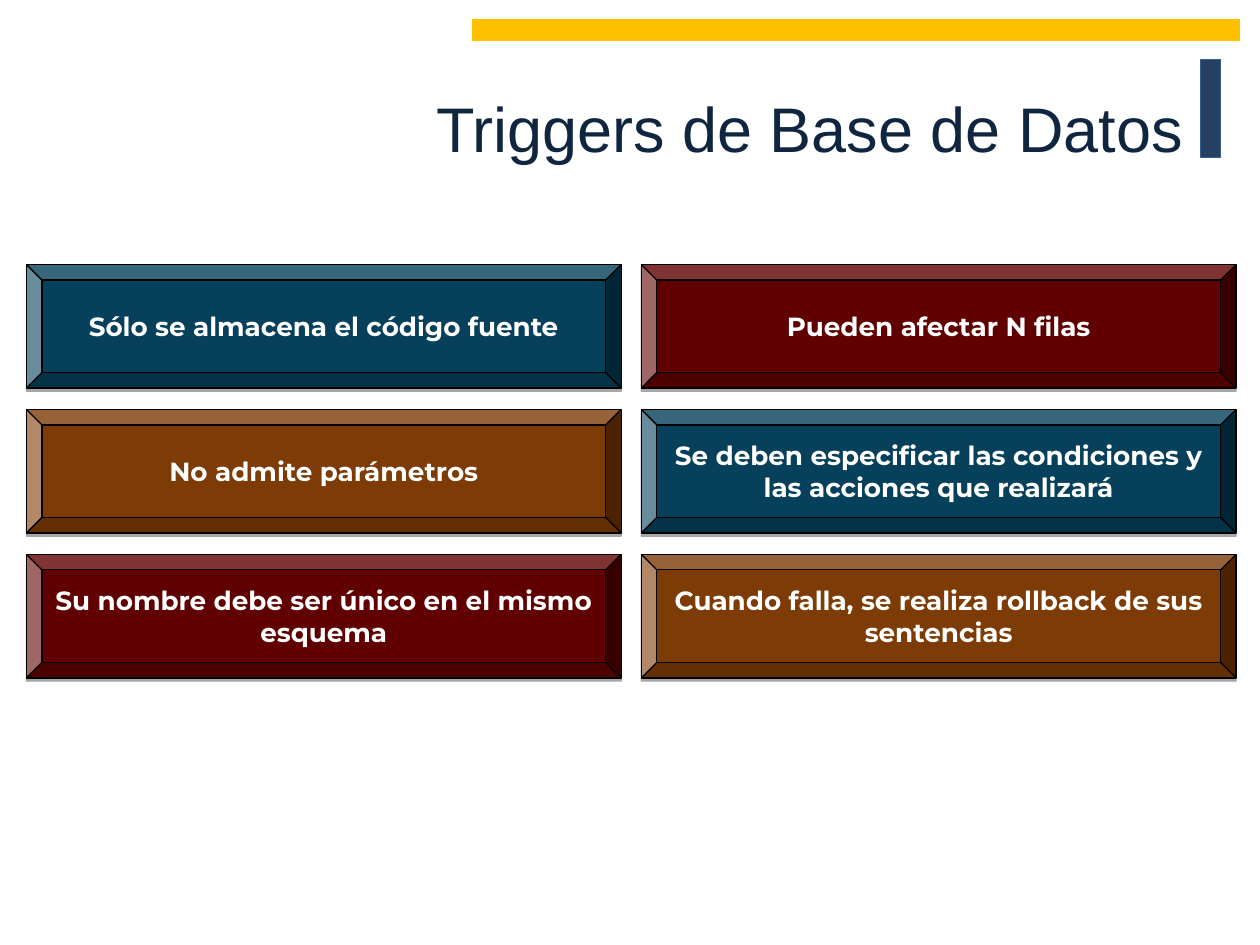
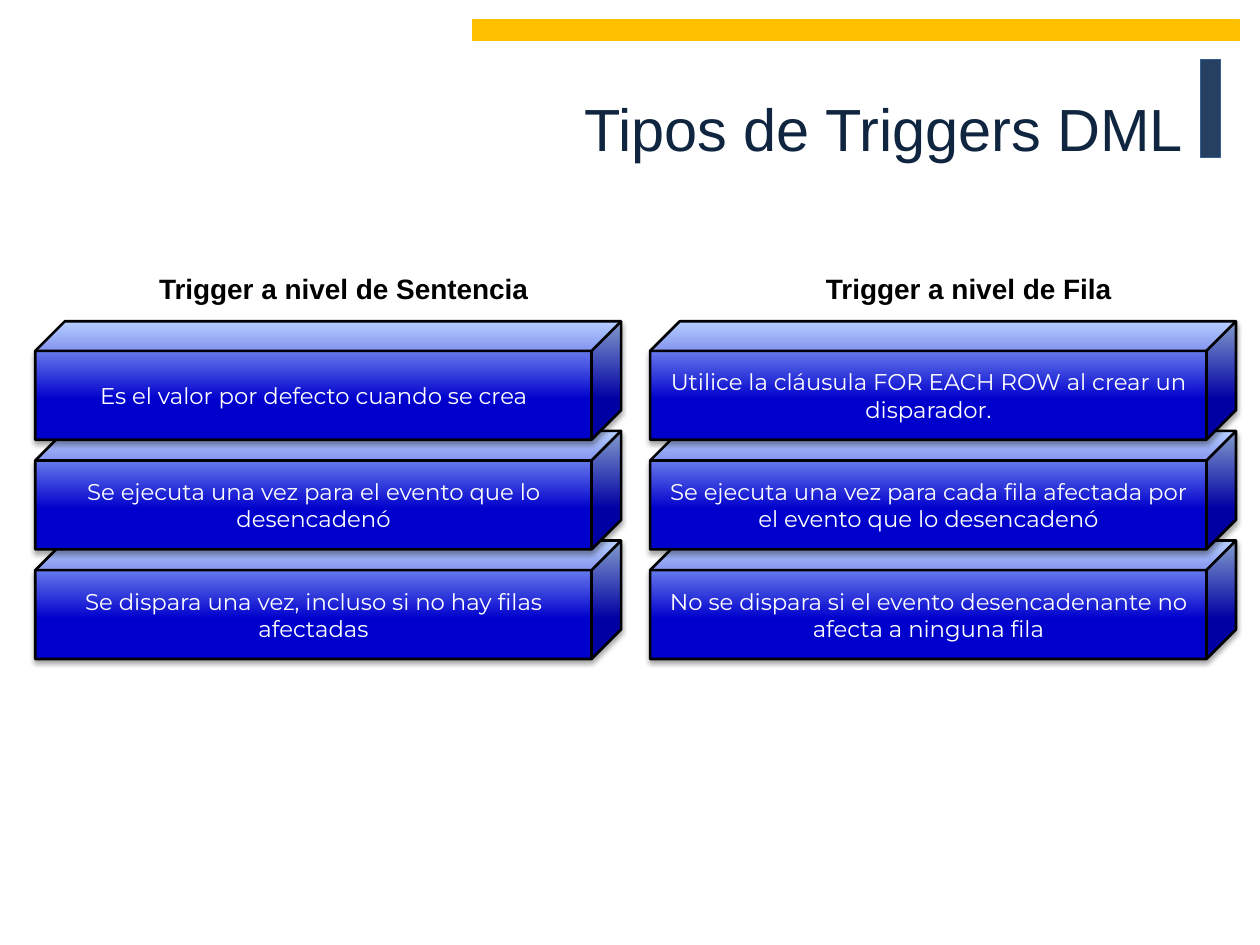
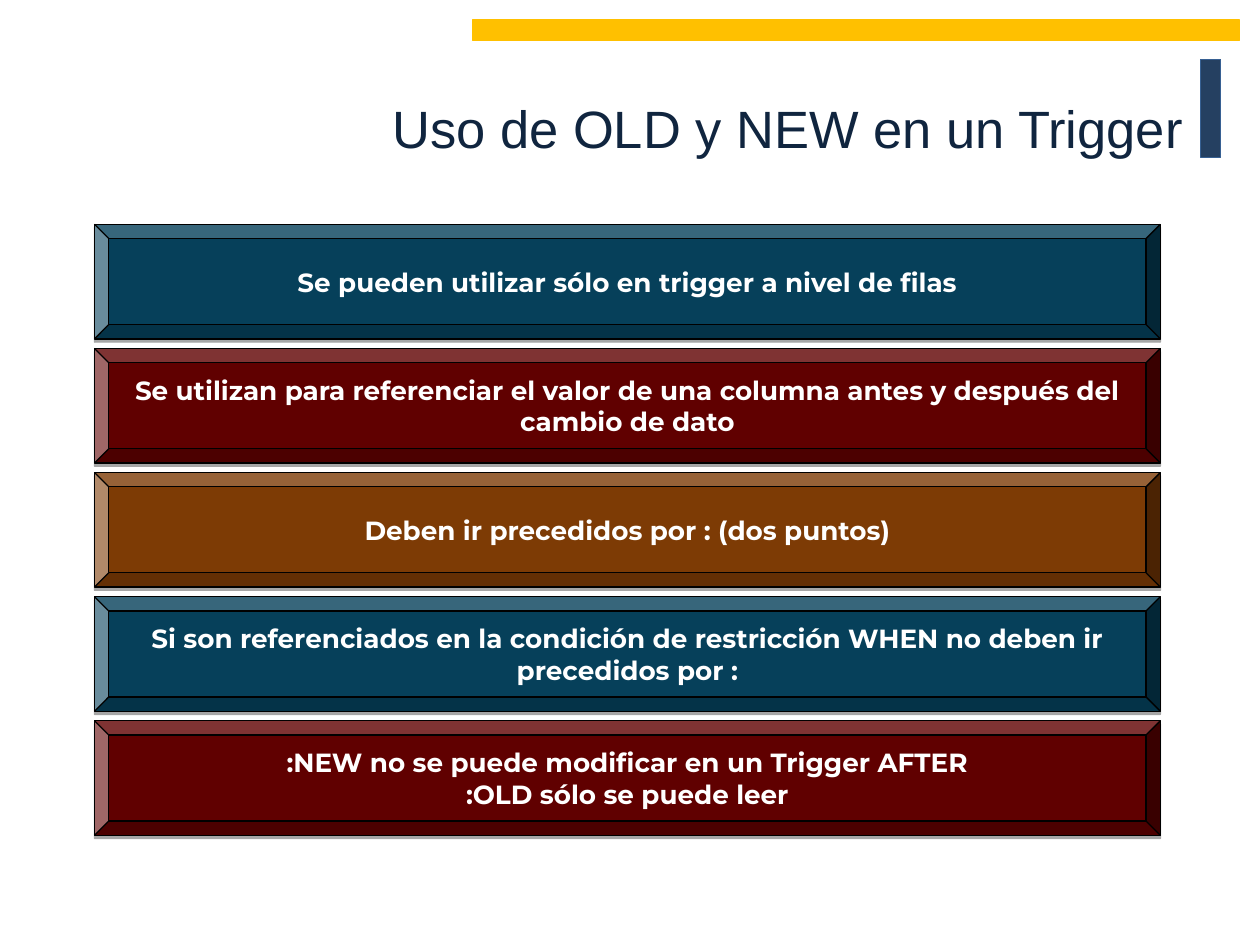
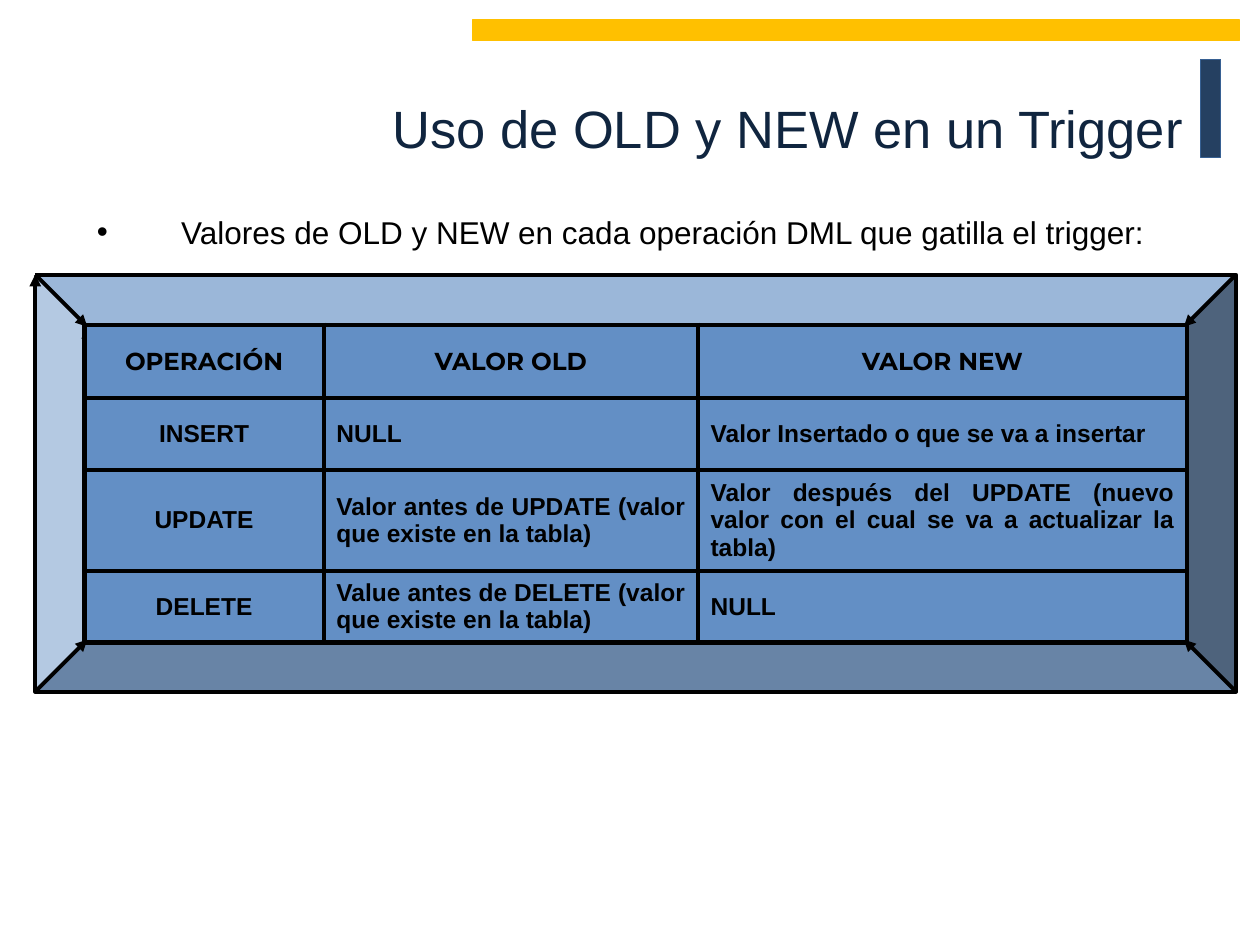
from lxml.etree import SubElement
from pptx import Presentation
from pptx.dml.color import RGBColor
from pptx.enum.shapes import MSO_SHAPE
from pptx.enum.text import MSO_ANCHOR, MSO_AUTO_SIZE, PP_ALIGN
from pptx.oxml.ns import qn
from pptx.util import Emu, Inches, Pt

WIDTH, HEIGHT = Inches(10), Inches(7.5)
COLUMNS, ROWS = 100, 75

BLACK, WHITE = "000000", "FFFFFF"
NAVY, NAVY_EDGE, TITLE_NAVY, GOLD = "254061", "376092", "10253F", "FFC000"
TEAL, BROWN, MAROON = "06405A", "7D3B05", "600000"
CUBE_BLUE, CUBE_LIGHT = "0000CC", "A4C4FF"
FRAME_BLUE, CELL_BLUE = "82A5D0", "638FC5"
SANS, DISPLAY = "Arial", "Montserrat"


def color(code):
    return RGBColor.from_string(code)


def add_xml(parent, tag, **attributes):
    return SubElement(parent, qn(tag), {name: str(value) for name, value in attributes.items()})


def add_xml_color(parent, code):
    return add_xml(parent, "a:srgbClr", val=code)


class Deck:
    """Holds the shared style and the slide being built; lengths are grid columns and rows."""

    def __init__(self):
        self.presentation = Presentation()
        self.presentation.slide_width = WIDTH
        self.presentation.slide_height = HEIGHT
        self.layout = self.presentation.slide_layouts.get_by_name("Title Only")
        self.slide = None

    def across(self, columns):
        return Emu(round(WIDTH * columns / COLUMNS))

    def down(self, rows):
        return Emu(round(HEIGHT * rows / ROWS))

    def box(self, left, top, width, height):
        return self.across(left), self.down(top), self.across(width), self.down(height)

    def add_slide(self, title, size):
        self.slide = self.presentation.slides.add_slide(self.layout)
        self.shape(MSO_SHAPE.RECTANGLE, (95.3, 4.7, 1.6, 7.8), NAVY, NAVY_EDGE)
        self.shape(MSO_SHAPE.RECTANGLE, (37.5, 1.6, 60.9, 1.6), GOLD, GOLD)
        placeholder = self.slide.shapes.title
        placeholder.left, placeholder.top, placeholder.width, placeholder.height = self.box(
            9.7, 2.1, 85.2, 16)
        frame = placeholder.text_frame
        frame.auto_size = MSO_AUTO_SIZE.NONE
        self.add_text(frame, [title], size, SANS, TITLE_NAVY, align=PP_ALIGN.RIGHT)

    def add_text(self, frame, lines, size, font, ink, bold=False, align=PP_ALIGN.CENTER,
                 anchor=MSO_ANCHOR.MIDDLE):
        frame.word_wrap = True
        frame.vertical_anchor = anchor
        for number, line in enumerate(lines):
            paragraph = frame.add_paragraph() if number else frame.paragraphs[0]
            paragraph.alignment = align
            run = paragraph.add_run()
            run.text = line
            run.font.size, run.font.name, run.font.bold = Pt(size), font, bold
            run.font.color.rgb = color(ink)

    def shape(self, kind, place, fill, line, line_width=0.75):
        shape = self.slide.shapes.add_shape(kind, *self.box(*place))
        shape.shadow.inherit = False
        if fill:
            shape.fill.solid()
            shape.fill.fore_color.rgb = color(fill)
        shape.line.color.rgb = color(line)
        shape.line.width = Pt(line_width)
        return shape

    def drop_shadow(self, shape, blur):
        effects = shape.element.spPr.find(qn("a:effectLst"))
        shadow = add_xml(effects, "a:outerShdw", blurRad=Pt(blur), dist=Pt(1.8),
                         dir=90 * 60000, rotWithShape=0)
        add_xml(add_xml_color(shadow, BLACK), "a:alpha", val=35000)

    def bevel(self, place, fill, *lines):
        shape = self.shape(MSO_SHAPE.BEVEL, place, fill, BLACK)
        self.drop_shadow(shape, 0)
        self.add_text(shape.text_frame, lines, 15, DISPLAY, WHITE, bold=True)

    def cube(self, place, text):
        shape = self.shape(MSO_SHAPE.CUBE, place, None, BLACK, 1.5)
        shape.fill.gradient()
        shape.fill.gradient_angle = 90
        stops = ((0.34, CUBE_BLUE), (1, CUBE_LIGHT))
        for stop, (position, code) in zip(shape.fill.gradient_stops, stops):
            stop.position = position
            stop.color.rgb = color(code)
        self.drop_shadow(shape, 3.1)
        self.add_text(shape.text_frame, [text], 13, DISPLAY, WHITE)

    def text_line(self, top, text, size, bold=False):
        frame = self.slide.shapes.add_textbox(*self.box(6.7, top, 87.4, 4.5)).text_frame
        self.add_text(frame, [text], size, SANS, BLACK, bold, PP_ALIGN.LEFT, MSO_ANCHOR.TOP)
        paragraph = frame.paragraphs[0]
        paragraph.line_spacing = 0.8
        paragraph.space_before = Pt(0.2 * size)
        return paragraph._p.get_or_add_pPr()

    def centred_headings(self, top, centres, headings):
        properties = self.text_line(top, "".join("\t" + heading for heading in headings), 16, True)
        stops = add_xml(properties, "a:tabLst")
        for centre in centres:
            add_xml(stops, "a:tab", pos=self.across(centre), algn="ctr")

    def bullet(self, top, text):
        properties = self.text_line(top, text, 18)
        indent = self.across(6.7)
        properties.set("marL", str(indent))
        properties.set("indent", str(-indent))
        add_xml(properties, "a:buFont", typeface=SANS)
        add_xml(properties, "a:buChar", char="•")

    def frame(self, place):
        shape = self.shape(MSO_SHAPE.BEVEL, place, FRAME_BLUE, BLACK, 2.25)
        add_xml(shape.element.spPr.find(qn("a:ln")), "a:tailEnd", type="triangle")

    def border(self, cell):
        properties = cell._tc.get_or_add_tcPr()
        for position, side in enumerate(("a:lnL", "a:lnR", "a:lnT", "a:lnB")):
            line = add_xml(properties, side, w=Pt(3))
            add_xml_color(add_xml(line, "a:solidFill"), BLACK)
            properties.insert(position, line)

    def table(self, left, top, widths, heights, rows):
        table = self.slide.shapes.add_table(
            len(rows), len(widths), *self.box(left, top, sum(widths), sum(heights))).table
        for column, width in zip(table.columns, widths):
            column.width = self.across(width)
        for row, height in zip(table.rows, heights):
            row.height = self.down(height)
        for row_number, texts in enumerate(rows):
            for column_number, text in enumerate(texts):
                cell = table.cell(row_number, column_number)
                cell.fill.solid()
                cell.fill.fore_color.rgb = color(CELL_BLUE)
                self.border(cell)
                if row_number == 0 or column_number == 0:
                    align = PP_ALIGN.CENTER
                else:
                    align = PP_ALIGN.LEFT if text == "NULL" else PP_ALIGN.JUSTIFY
                self.add_text(cell.text_frame, [text], 14, SANS if row_number else DISPLAY,
                              BLACK, True, align)
                cell.vertical_anchor = MSO_ANCHOR.MIDDLE
                cell.text_frame.paragraphs[0].space_before = Pt(2.8)


def add_database_triggers(deck):
    deck.add_slide("Triggers de Base de Datos", 36)
    features = (
        (("Sólo se almacena el código fuente", TEAL), ("Pueden afectar N filas", MAROON)),
        (("No admite parámetros", BROWN),
         ("Se deben especificar las condiciones y las acciones que realizará", TEAL)),
        (("Su nombre debe ser único en el mismo esquema", MAROON),
         ("Cuando falla, se realiza rollback de sus sentencias", BROWN)),
    )
    for row, pair in enumerate(features):
        for column, (text, fill) in enumerate(pair):
            deck.bevel((2.1 + 48.8 * column, 21 + 11.5 * row, 47.2, 9.8), fill, text)


def add_trigger_types(deck):
    deck.add_slide("Tipos de Triggers DML", 34)
    deck.centred_headings(21.6, (19.6, 69.2),
                          ("Trigger a nivel de Sentencia", "Trigger a nivel de Fila"))
    stacks = (
        ("Es el valor por defecto cuando se crea",
         "Se ejecuta una vez para el evento que lo desencadenó",
         "Se dispara una vez, incluso si no hay filas afectadas"),
        ("Utilice la cláusula FOR EACH ROW al crear un disparador.",
         "Se ejecuta una vez para cada fila afectada por el evento que lo desencadenó",
         "No se dispara si el evento desencadenante no afecta a ninguna fila"),
    )
    for column, stack in enumerate(stacks):
        for row, text in reversed(list(enumerate(stack))):
            deck.cube((2.8 + 48.8 * column, 25.5 + 8.7 * row, 46.5, 9.4), text)


def add_old_and_new_rules(deck):
    deck.add_slide("Uso de OLD y NEW en un Trigger", 30)
    rules = (
        (TEAL, "Se pueden utilizar sólo en trigger a nivel de filas"),
        (MAROON, "Se utilizan para referenciar el valor de una columna antes y después del "
                 "cambio de dato"),
        (BROWN, "Deben ir precedidos por : (dos puntos)"),
        (TEAL, "Si son referenciados en la condición de restricción WHEN no deben ir "
               "precedidos por :"),
        (MAROON, ":NEW no se puede modificar en un Trigger AFTER", ":OLD sólo se puede leer"),
    )
    for row, (fill, *lines) in enumerate(rules):
        deck.bevel((7.5, 17.8 + 9.85 * row, 84.6, 9.1), fill, *lines)


def add_old_and_new_values(deck):
    deck.add_slide("Uso de OLD y NEW en un Trigger", 30)
    deck.bullet(17, "Valores de OLD y NEW en cada operación DML que gatilla el trigger:")
    deck.frame((2.8, 21.8, 95.3, 33.1))
    deck.table(6.7, 25.8, (19, 29.7, 38.8), (5.8, 5.7, 6, 5.1), (
        ("OPERACIÓN", "VALOR OLD", "VALOR NEW"),
        ("INSERT", "NULL", "Valor Insertado o que se va a insertar"),
        ("UPDATE", "Valor antes de UPDATE (valor que existe en la tabla)",
         "Valor después del UPDATE (nuevo valor con el cual se va a actualizar la tabla)"),
        ("DELETE", "Value antes de DELETE (valor que existe en la tabla)", "NULL"),
    ))


def main():
    deck = Deck()
    add_database_triggers(deck)
    add_trigger_types(deck)
    add_old_and_new_rules(deck)
    add_old_and_new_values(deck)
    deck.presentation.save("out.pptx")


if __name__ == "__main__":
    main()
